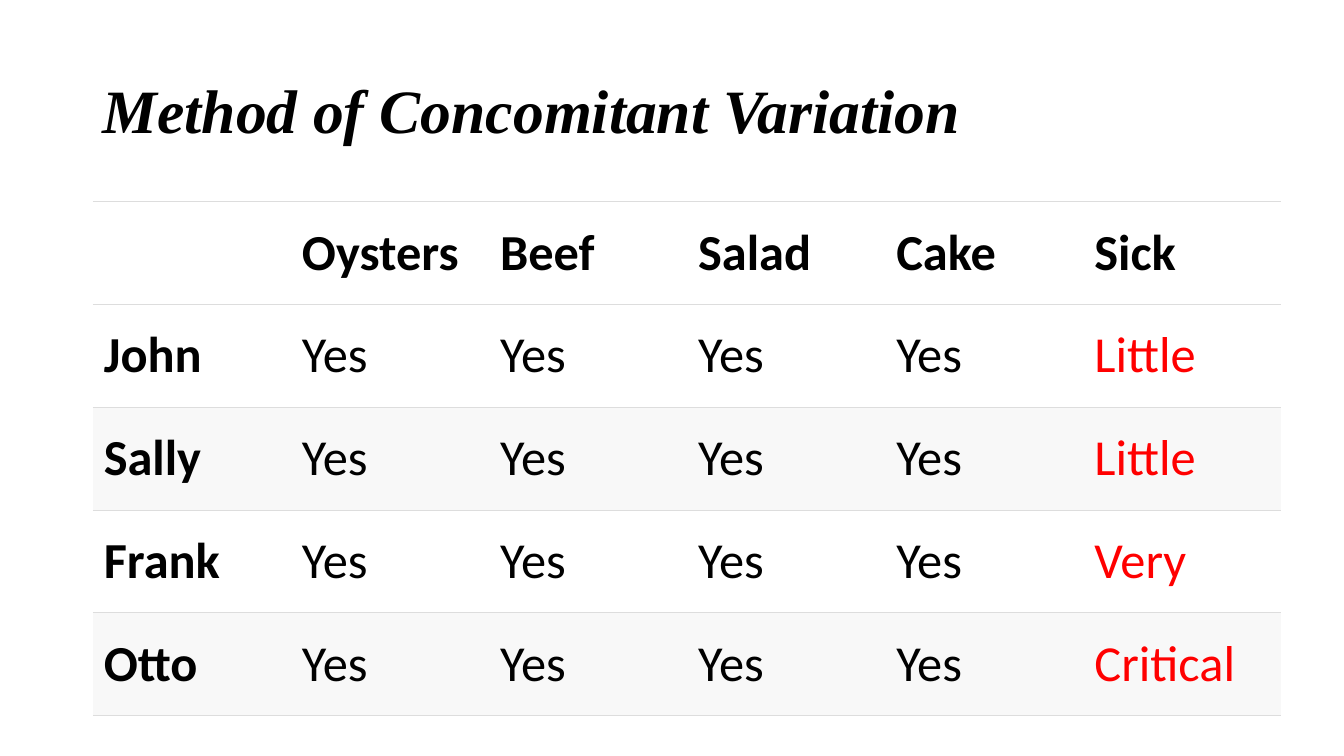
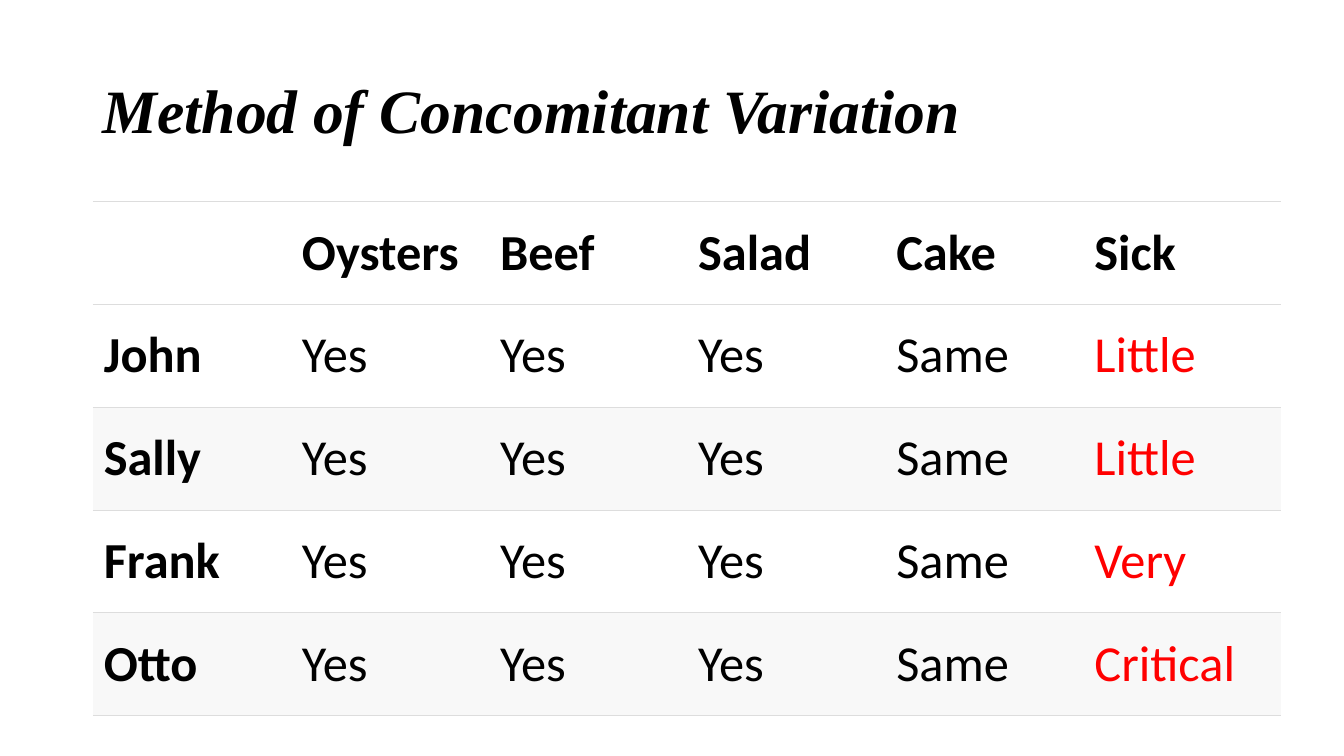
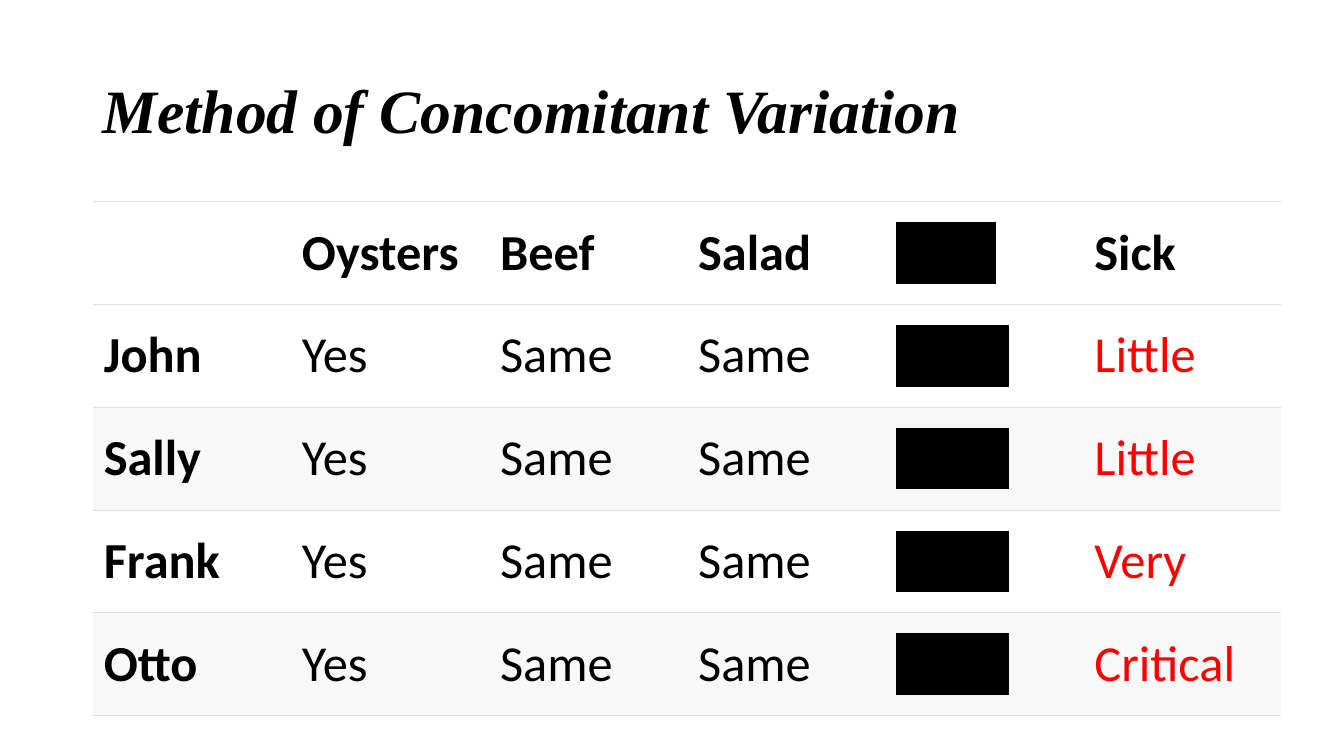
import pptx
import pptx.util
import pptx.dml.color
import pptx.enum.text
import pptx.oxml.ns
import lxml.etree

Inches = pptx.util.Inches
Pt = pptx.util.Pt
MIDDLE = pptx.enum.text.MSO_ANCHOR.MIDDLE

HUES = {"ink": "000000", "alert": "FF0000", "plain": "FFFFFF", "band": "F8F8F8", "rule": "DDDDDD"}
TITLE = "Method of Concomitant Variation"
FOODS = ["Oysters", "Beef", "Salad", "Cake"]
GUESTS = {"John": "Little", "Sally": "Little", "Frank": "Very", "Otto": "Critical"}
CAKE = FOODS.index("Cake") + 1
SLIDES = [
    (["Yes", "Yes", "Yes", "Yes"], False),
    (["Yes", "Yes", "Yes", "Same"], False),
    (["Yes", "Same", "Same", "Same"], True),
]


def color(name):
    return pptx.dml.color.RGBColor.from_string(HUES[name])


def node(parent, tag, **attrs):
    return lxml.etree.SubElement(parent, pptx.oxml.ns.qn(tag), **attrs)


def add_run(para, text, face, size, hue="ink", bold=False, italic=False):
    run = para.add_run()
    run.text = text
    font = run.font
    font.name, font.size = face, Pt(size)
    font.bold, font.italic = bold, italic
    font.color.rgb = color(hue)
    return run


def mark(run, hue):
    props = run.font._element
    light = node(props, "a:highlight")
    node(light, "a:srgbClr", val=HUES[hue])
    props.find(pptx.oxml.ns.qn("a:solidFill")).addnext(light)


def set_rules(cell, top, bottom):
    props = cell._tc.get_or_add_tcPr()
    for side, width in (("L", 0), ("R", 0), ("T", top), ("B", bottom)):
        line = node(props, "a:ln" + side, w=str(Pt(width)))
        if width:
            node(node(line, "a:solidFill"), "a:srgbClr", val=HUES["rule"])
        else:
            node(line, "a:noFill")


def add_title(slide, left, top, width, height):
    box = slide.shapes.add_textbox(Inches(left), Inches(top), Inches(width), Inches(height))
    frame = box.text_frame
    frame.word_wrap = True
    frame.vertical_anchor = MIDDLE
    para = frame.paragraphs[0]
    para.line_spacing = 0.9
    add_run(para, TITLE, "Times New Roman", 44, bold=True, italic=True)


def add_grid(slide, left, top, width, height, meals, masked):
    rows = [["", *FOODS, "Sick"]]
    rows += [[guest, *meals, state] for guest, state in GUESTS.items()]
    count, span = len(rows), len(rows[0])
    table = slide.shapes.add_table(
        count, span, Inches(left), Inches(top), Inches(width), Inches(height)).table
    table.first_row = table.horz_banding = False
    for col in table.columns:
        col.width = Inches(width / span)
    for r, row in enumerate(rows):
        table.rows[r].height = Inches(height / count)
        for c, text in enumerate(row):
            cell = table.cell(r, c)
            set_rules(cell, 0.6, 1.2 if r == count - 1 else 0.6)
            cell.fill.solid()
            cell.fill.fore_color.rgb = color("band" if r and r % 2 == 0 else "plain")
            cell.vertical_anchor = MIDDLE
            cell.margin_left = cell.margin_right = Inches(0.11)
            cell.margin_top = cell.margin_bottom = Inches(0.05)
            if not text:
                continue
            hue = "alert" if r and c == span - 1 else "ink"
            run = add_run(cell.text_frame.paragraphs[0], text, "Calibri", 36,
                          hue, bold=r == 0 or c == 0)
            if masked and c == CAKE:
                mark(run, "ink")


def main():
    deck = pptx.Presentation()
    deck.slide_width, deck.slide_height = Inches(13.33), Inches(7.5)
    for meals, masked in SLIDES:
        slide = deck.slides.add_slide(deck.slide_layouts[6])
        add_title(slide, 0.92, 0.4, 11.5, 1.45)
        add_grid(slide, 0.92, 2, 11.79, 5.1, meals, masked)
    deck.save("out.pptx")


if __name__ == "__main__":
    main()
